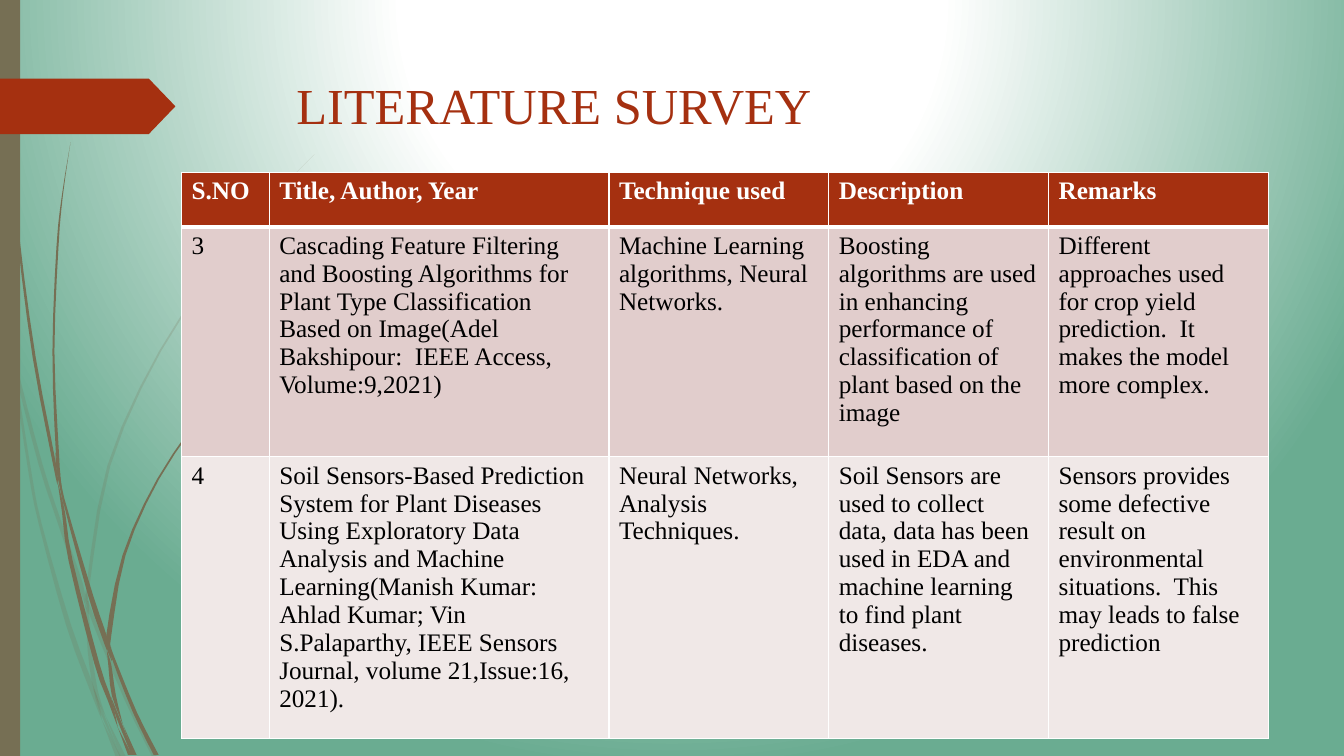
from dataclasses import dataclass

from pptx import Presentation
from pptx.dml.color import RGBColor
from pptx.enum.shapes import MSO_SHAPE
from pptx.oxml import parse_xml
from pptx.oxml.ns import nsdecls, qn
from pptx.util import Inches, Pt

RECT, ARROW = MSO_SHAPE.RECTANGLE, MSO_SHAPE.PENTAGON


@dataclass(frozen=True)
class Theme:
    font: str = "Times New Roman"
    red: str = "A53010"
    brown: str = "766F54"
    green: str = "6AAC91"
    white: str = "FFFFFF"
    black: str = "000000"
    bands: tuple = ("E1CDCC", "F0E8E7")
    title: int = 36
    body: int = 18
    faint: int = 20


LOOK = Theme()

# Each blade is a row of (x, y, width) points, from top to bottom.
PALE = [
    [(0, 2.82, 0), (0.02, 2.99, 0.03), (0.08, 3.33, 0.02), (0.11, 3.5, 0)],
    [(0.14, 3.45, 0), (0.17, 3.7, 0.03), (0.4, 4.6, 0.04),
     (0.6, 5.21, 0.04), (0.8, 5.8, 0.05), (0.84, 5.99, 0)],
    [(0.88, 5.96, 0), (0.9, 6.08, 0.04), (1.25, 6.93, 0.04),
     (1.53, 7.5, 0.05)],
    [(1.05, 7.11, 0), (1.22, 7.5, 0.05)],
    [(0.11, 3.5, 0), (0.16, 3.8, 0.02), (0.3, 4.7, 0.03), (0.4, 5.2, 0.03),
     (0.68, 6.2, 0.05), (0.93, 6.88, 0.05), (1.01, 7.14, 0)],
    [(0.84, 5.99, 0), (0.87, 6.12, 0.03), (0.89, 6.46, 0.04),
     (0.95, 6.85, 0.04), (1.05, 7.11, 0)],
    [(3.12, 1.53, 0), (2.68, 1.98, 0.01), (2.29, 2.45, 0.02),
     (1.59, 3.48, 0.02), (1.08, 4.62, 0.03), (0.87, 5.84, 0.03),
     (0.88, 5.96, 0)],
    [(1.01, 7.14, 0), (1.17, 7.5, 0.05)],
    [(0.85, 5.86, 0), (0.86, 5.98, 0.04), (0.88, 6.1, 0)],
    [(0.93, 6.83, 0), (0.99, 7.02, 0.03), (1.19, 7.5, 0.01)],
]
DARK = [
    [(0.03, 0, 0.01), (0.08, 1.1, 0.01), (0.18, 2.33, 0.02),
     (0.34, 3.55, 0.03), (0.54, 4.6, 0.03), (0.57, 4.81, 0)],
    [(0.6, 4.72, 0), (0.63, 4.95, 0.02), (0.9, 5.91, 0.05),
     (1.04, 6.33, 0.05), (1.06, 6.45, 0)],
    [(1.1, 6.41, 0), (1.12, 6.52, 0.03), (1.34, 7.07, 0.04),
     (1.55, 7.49, 0.05)],
    [(0.57, 4.77, 0), (0.63, 5.08, 0.03), (0.7, 5.56, 0.04),
     (0.96, 6.58, 0.05), (1.09, 6.95, 0.04), (1.17, 7.22, 0)],
    [(0.7, 1.41, 0), (0.62, 1.93, 0.01), (0.57, 2.45, 0.02),
     (0.53, 3.49, 0.02), (0.57, 4.5, 0.03), (0.6, 4.72, 0)],
    [(1.22, 7.19, 0), (1.34, 7.49, 0.03)],
    [(0.55, 4.49, 0), (0.58, 4.7, 0.03), (0.64, 5.05, 0)],
    [(2.6, 3.44, 0), (2.31, 3.73, 0.01), (2.04, 4.06, 0.02),
     (1.57, 4.75, 0.02), (1.23, 5.51, 0.03), (1.08, 6.3, 0.05),
     (1.1, 6.41, 0)],
    [(1.17, 7.22, 0), (1.29, 7.49, 0.04)],
    [(1.06, 6.45, 0), (1.09, 6.6, 0.03), (1.13, 6.9, 0.04), (1.22, 7.19, 0)],
    [(1.06, 6.31, 0), (1.08, 6.43, 0.04), (1.11, 6.56, 0)],
    [(1.1, 6.91, 0), (1.17, 7.12, 0.03), (1.32, 7.49, 0.03)],
]

COLS = [0.87, 3.37, 2.18, 2.18, 2.18]
ROWS = [0.54, 2.28, 2.28]
CELLS = [
    ["S.NO", "Title, Author, Year", "Technique used", "Description",
     "Remarks"],
    ["3",
     "Cascading Feature Filtering and Boosting Algorithms for Plant Type "
     "Classification Based on Image(Adel Bakshipour:  IEEE Access, "
     "Volume:9,2021)",
     "Machine Learning algorithms, Neural Networks.",
     "Boosting algorithms are used in enhancing performance of "
     "classification of plant based on the image",
     "Different approaches used for crop yield prediction.  It makes the "
     "model more complex."],
    ["4",
     "Soil Sensors-Based Prediction System for Plant Diseases Using "
     "Exploratory Data Analysis and Machine Learning(Manish Kumar: Ahlad "
     "Kumar; Vin S.Palaparthy, IEEE Sensors Journal, volume 21,Issue:16, "
     "2021).",
     "Neural Networks, Analysis Techniques.",
     "Soil Sensors are used to collect data, data has been used in EDA and "
     "machine learning to find plant diseases.",
     "Sensors provides some defective result on environmental situations.  "
     "This may leads to false prediction"],
]


def paint(fill, tone):
    fill.solid()
    fill.fore_color.rgb = RGBColor.from_string(tone)


def write(para, text, size, tone, bold=False):
    run = para.add_run()
    run.text = text
    look = {"name": LOOK.font, "size": Pt(size), "bold": bold}
    for key, value in look.items():
        setattr(run.font, key, value)
    run.font.color.rgb = RGBColor.from_string(tone)


def finish(shape, tone):
    """Give a shape a plain fill with no line or shadow."""
    shape.shadow.inherit = False
    paint(shape.fill, tone)
    shape.line.fill.background()


def backdrop(slide):
    slide.background.fill.gradient()
    grad = slide.element.find(".//" + qn("a:gradFill"))
    stops = "".join(
        f'<a:gs pos="{pos * 1000}"><a:srgbClr val="{tone}"/></a:gs>'
        for pos, tone in [(0, LOOK.white), (35, LOOK.white), (100, LOOK.green)])
    new = parse_xml(
        f'<a:gradFill {nsdecls("a")} rotWithShape="1"><a:gsLst>{stops}'
        '</a:gsLst><a:path path="circle"><a:fillToRect l="50000" '
        't="-80000" r="50000" b="180000"/></a:path></a:gradFill>')
    grad.getparent().replace(grad, new)


def smooth(knots, steps=3):
    """Return points on a Catmull-Rom curve through the knots."""
    ends = [knots[0], *knots, knots[-1]]
    curve = []
    for quad in zip(ends, ends[1:], ends[2:], ends[3:]):
        for step in range(steps):
            t = step / steps
            curve.append([
                b + t * (c - a) / 2
                + t * t * (2 * a - 5 * b + 4 * c - d) / 2
                + t ** 3 * (3 * b - a - 3 * c + d) / 2
                for a, b, c, d in zip(*quad)])
    return curve + [knots[-1]]


def blade(slide, knots, alpha=None):
    curve = smooth(knots)
    left = [(Inches(x - w / 2), Inches(y)) for x, y, w in curve]
    right = [(Inches(x + w / 2), Inches(y)) for x, y, w in curve]
    edges = left + right[::-1]
    form = slide.shapes.build_freeform(*edges[0])
    form.add_line_segments(edges[1:], close=True)
    shape = form.convert_to_shape()
    finish(shape, LOOK.brown)
    if alpha:
        tone = shape.element.spPr.find(".//" + qn("a:srgbClr"))
        tone.append(parse_xml(
            f'<a:alpha {nsdecls("a")} val="{alpha * 1000}"/>'))


def side(slide, x, y, high):
    """Draw the grass, the edge bar and the arrow at the left."""
    for group, alpha in [(PALE, LOOK.faint), (DARK, None)]:
        for knots in group:
            blade(slide, [(x + a, y + b, w) for a, b, w in knots], alpha)
    bar = slide.shapes.add_shape(
        RECT, Inches(x), Inches(y), Inches(0.2), Inches(high))
    finish(bar, LOOK.brown)
    arrow = slide.shapes.add_shape(
        ARROW, Inches(x), Inches(y + 0.78), Inches(1.74), Inches(0.55))
    arrow.adjustments[0] = 0.48
    finish(arrow, LOOK.red)


def heading(slide, x, y, wide, high):
    box = slide.shapes.add_textbox(
        Inches(x), Inches(y), Inches(wide), Inches(high))
    box.text_frame.word_wrap = True
    write(box.text_frame.paragraphs[0], "LITERATURE SURVEY",
          LOOK.title, LOOK.red)


def edge(cell, head):
    """Draw the cell borders, with a heavy one below the header."""
    props = cell._tc.get_or_add_tcPr()
    for spot, name in enumerate(["lnL", "lnR", "lnT", "lnB"]):
        width = Pt(3 if head and name == "lnB" else 1)
        props.insert(spot, parse_xml(
            f'<a:{name} {nsdecls("a")} w="{width}"><a:solidFill>'
            f'<a:srgbClr val="{LOOK.white}"/></a:solidFill></a:{name}>'))


def survey(slide, x, y):
    grid = slide.shapes.add_table(
        len(ROWS), len(COLS), Inches(x), Inches(y),
        Inches(sum(COLS)), Inches(sum(ROWS))).table
    for col, wide in zip(grid.columns, COLS):
        col.width = Inches(wide)
    for r, (row, high) in enumerate(zip(grid.rows, ROWS)):
        row.height = Inches(high)
        head = r == 0
        for cell, text in zip(row.cells, CELLS[r]):
            paint(cell.fill, LOOK.red if head else LOOK.bands[r - 1])
            edge(cell, head)
            write(cell.text_frame.paragraphs[0], text, LOOK.body,
                  LOOK.white if head else LOOK.black, head)


def main():
    deck = Presentation()
    deck.slide_width, deck.slide_height = Inches(13.33), Inches(7.5)
    slide = deck.slides.add_slide(deck.slide_layouts[6])
    backdrop(slide)
    side(slide, 0, 0, 7.5)
    heading(slide, 2.84, 0.69, 9.75, 1.4)
    survey(slide, 1.8, 1.71)
    deck.save("out.pptx")


if __name__ == "__main__":
    main()
